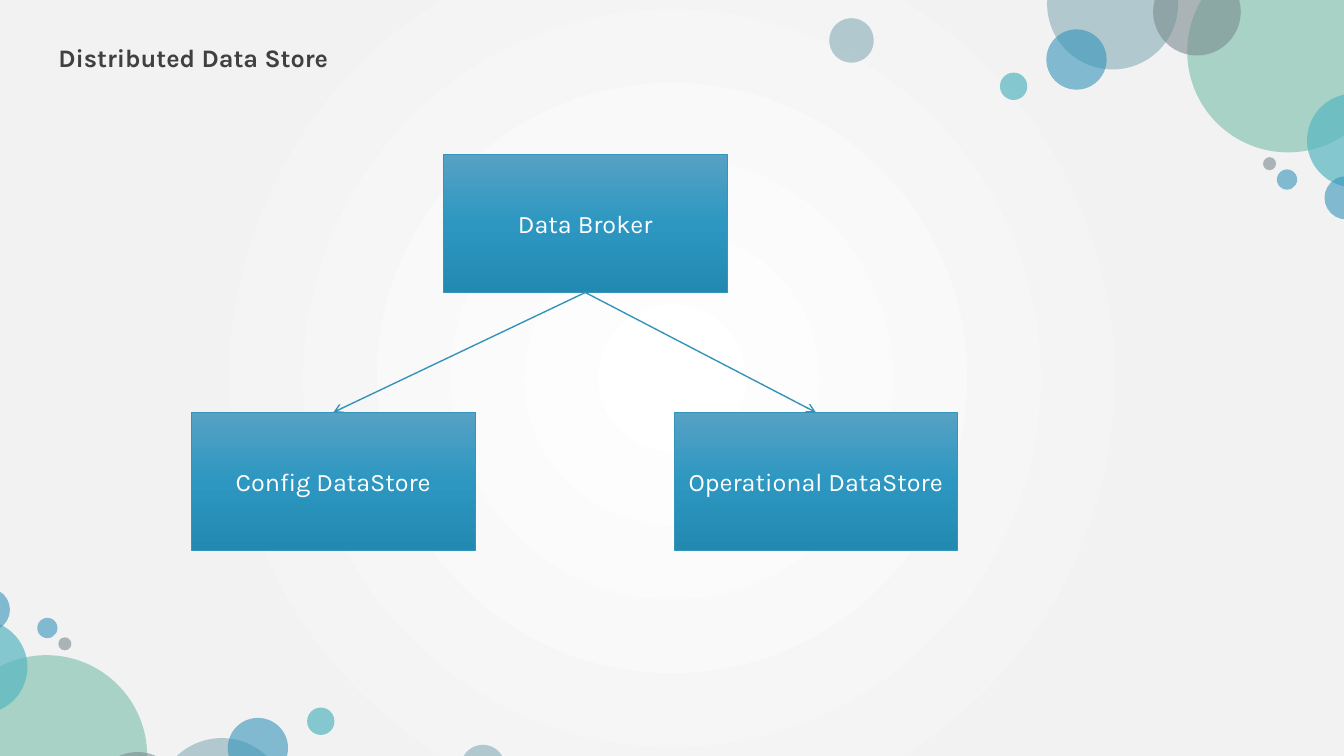
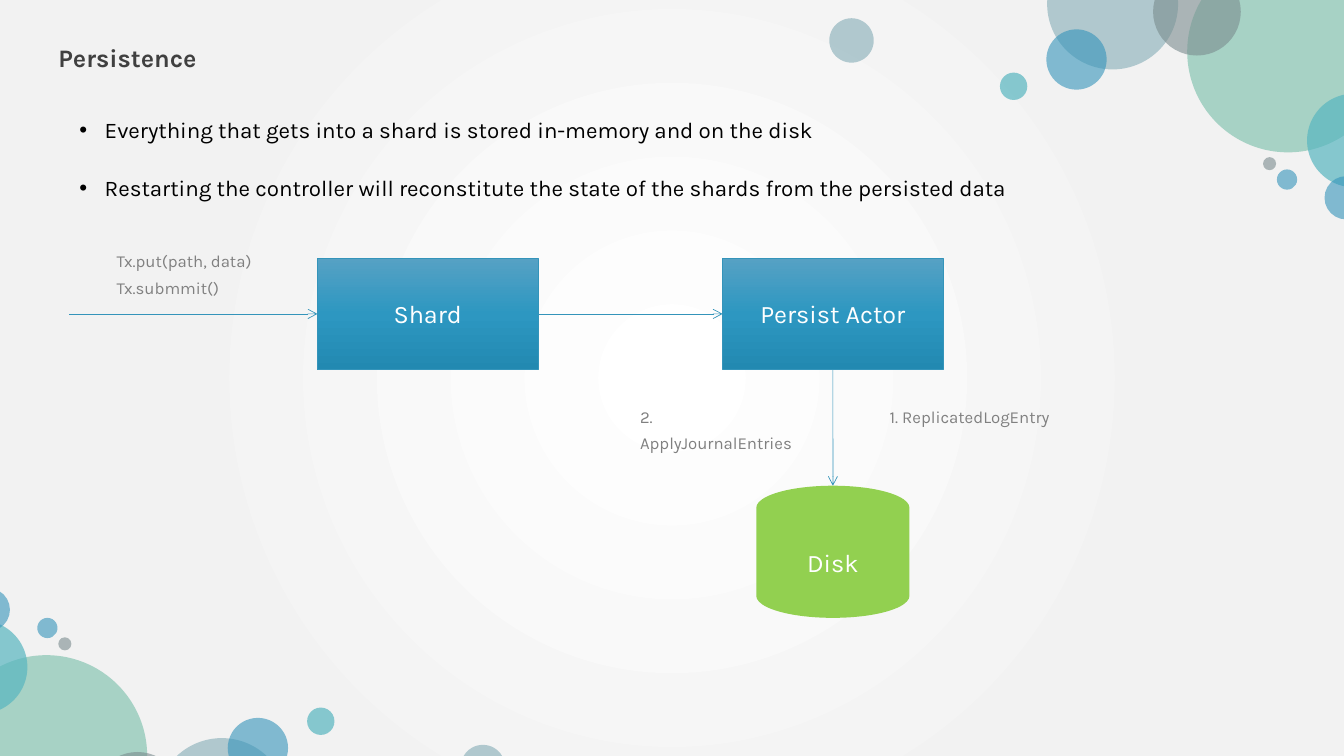
from lxml import etree
from pptx import Presentation
from pptx import util as u
from pptx.dml.color import RGBColor
from pptx.enum import shapes, text
from pptx.oxml import parse_xml
from pptx.oxml.ns import nsdecls, qn

FONT = "Karla"
WHITE = RGBColor(0xFF, 0xFF, 0xFF)
BLACK = RGBColor(0x00, 0x00, 0x00)
PALE = RGBColor(0xF2, 0xF2, 0xF2)
DARK = RGBColor(0x40, 0x40, 0x40)
GREY = RGBColor(0x80, 0x80, 0x80)
BLUE = RGBColor(0x34, 0x94, 0xBA)
TEAL = RGBColor(0x58, 0xB6, 0xC0)
GREEN = RGBColor(0x75, 0xBD, 0xA7)
STEEL = RGBColor(0x84, 0xAC, 0xB6)
SLATE = RGBColor(0x7A, 0x8C, 0x8E)
LIME = RGBColor(0x92, 0xD0, 0x50)
BOX_TOP = RGBColor(0x56, 0xA1, 0xC4)
BOX_MID = RGBColor(0x2D, 0x97, 0xC1)
BOX_END = RGBColor(0x22, 0x89, 0xB1)

BOX_STOPS = [(0, BOX_TOP), (50, BOX_MID), (100, BOX_END)]
PAGE_STOPS = [(0, WHITE), (67, PALE), (100, PALE)]
DOWNWARD = '<a:lin %s ang="5400000" scaled="0"/>'
RADIAL = ('<a:path %s path="circle"><a:fillToRect l="50000" t="50000" '
          'r="50000" b="50000"/></a:path>')

BUBBLES = [
    (26.39, -1.55, 3.3, STEEL, 60),
    (29.92, -1.24, 5.08, GREEN, 60),
    (29.06, -0.81, 2.21, SLATE, 60),
    (26.37, 0.74, 1.52, BLUE, 60),
    (32.94, 2.36, 2.36, TEAL, 70),
    (25.2, 1.83, 0.69, TEAL, 70),
    (33.38, 4.44, 1.09, BLUE, 60),
    (32.18, 4.27, 0.51, BLUE, 60),
    (31.83, 3.96, 0.33, SLATE, 60),
    (20.9, 0.46, 1.12, STEEL, 60),
]
TURN_X, TURN_Y = 33.63, 20.35
TOP, LEFT, BOTTOM, RIGHT = range(4)


def gradient(owner, fill, stops, direction):
    fill.gradient()
    g = owner.element.find(".//" + qn("a:gradFill"))
    for child in list(g):
        g.remove(child)
    gs_lst = etree.SubElement(g, qn("a:gsLst"))
    for pos, color in stops:
        gs = etree.SubElement(gs_lst, qn("a:gs"), pos=str(pos * 1000))
        etree.SubElement(gs, qn("a:srgbClr"), val=str(color))
    g.append(parse_xml(direction % nsdecls("a")))


def write(tf, lines, size=18, color=WHITE, bold=False, align=None,
          spacing=None, before=None, bullet=False):
    tf.word_wrap = True
    for i, line in enumerate(lines.split("\n")):
        p = tf.add_paragraph() if i else tf.paragraphs[0]
        p.alignment = align
        p.line_spacing = spacing
        p.space_before = before
        if bullet:
            pPr = p._p.get_or_add_pPr()
            pPr.set("marL", str(u.Cm(0.64)))
            pPr.set("indent", str(-u.Cm(0.64)))
            etree.SubElement(pPr, qn("a:buFont"), typeface="Arial")
            etree.SubElement(pPr, qn("a:buChar"), char="•")
        r = p.add_run()
        r.text = line
        r.font.name = FONT
        r.font.size = u.Pt(size)
        r.font.bold = bold
        r.font.color.rgb = color


class Deck:
    def __init__(self):
        self.prs = Presentation()
        self.prs.slide_width = u.Cm(33.87)
        self.prs.slide_height = u.Cm(19.05)
        self.s = None

    def slide(self, title):
        self.s = self.prs.slides.add_slide(self.prs.slide_layouts[6])
        gradient(self.s, self.s.background.fill, PAGE_STOPS, RADIAL)
        for x, y, d, color, alpha in BUBBLES:
            self.bubble(x, y, d, color, alpha)
        for x, y, d, color, alpha in BUBBLES:
            self.bubble(TURN_X - x - d, TURN_Y - y - d, d, color, alpha)
        self.text(title, 1.22, 0.71, 9.45, 1.12, color=DARK, bold=True,
                  spacing=1.3, before=u.Pt(10))

    def shape(self, kind, x, y, w, h):
        sp = self.s.shapes.add_shape(kind, u.Cm(x), u.Cm(y), u.Cm(w), u.Cm(h))
        sp.shadow.inherit = False
        sp.line.fill.background()
        return sp

    def bubble(self, x, y, d, color, alpha):
        sp = self.shape(shapes.MSO_SHAPE.OVAL, x, y, d, d)
        sp.fill.solid()
        sp.fill.fore_color.rgb = color
        clr = sp.element.spPr.find(".//" + qn("a:srgbClr"))
        etree.SubElement(clr, qn("a:alpha"), val=str(alpha * 1000))

    def caption(self, sp, label):
        sp.text_frame.vertical_anchor = text.MSO_ANCHOR.MIDDLE
        write(sp.text_frame, label, align=text.PP_ALIGN.CENTER)

    def box(self, label, x, y, w, h):
        sp = self.shape(shapes.MSO_SHAPE.RECTANGLE, x, y, w, h)
        gradient(sp, sp.fill, BOX_STOPS, DOWNWARD)
        sp.line.color.rgb = BLUE
        sp.line.width = u.Pt(0.5)
        self.caption(sp, label)
        return sp

    def disk(self, label, x, y, w, h):
        sp = self.shape(shapes.MSO_SHAPE.FLOWCHART_MAGNETIC_DISK, x, y, w, h)
        sp.fill.solid()
        sp.fill.fore_color.rgb = LIME
        self.caption(sp, label)
        return sp

    def text(self, lines, x, y, w, h, **fmt):
        sp = self.s.shapes.add_textbox(u.Cm(x), u.Cm(y), u.Cm(w), u.Cm(h))
        write(sp.text_frame, lines, **fmt)
        return sp

    def bullet(self, line, y, h):
        self.text(line, 1.75, y, 24.08, h, size=16, color=BLACK,
                  spacing=0.9, before=u.Pt(10), bullet=True)

    def note(self, lines, x, y, w, h):
        sp = self.text(lines, x, y, w, h, size=12, color=GREY, spacing=1.3)
        sp.text_frame.auto_size = text.MSO_AUTO_SIZE.SHAPE_TO_FIT_TEXT

    def arrow(self, begin=None, end=None, start=(0, 0), stop=(0, 0), width=0.5):
        cn = self.s.shapes.add_connector(
            shapes.MSO_CONNECTOR.STRAIGHT, *map(u.Cm, start + stop))
        if begin:
            cn.begin_connect(*begin)
        if end:
            cn.end_connect(*end)
        cn.line.color.rgb = BLUE
        cn.line.width = u.Pt(width)
        spPr = cn.element.spPr
        etree.SubElement(spPr.find(qn("a:ln")), qn("a:tailEnd"), type="arrow")
        etree.SubElement(spPr, qn("a:effectLst"))


def data_store(deck):
    deck.slide("Distributed Data Store")
    w, h = 7.14, 3.48
    broker = deck.box("Data Broker", 11.18, 3.89, w, h)
    stores = [deck.box(label, x, 10.39, w, h) for label, x in
              (("Config DataStore", 4.83), ("Operational DataStore", 16.99))]
    for store in stores:
        deck.arrow((broker, BOTTOM), (store, TOP), width=1)


def persistence(deck):
    deck.slide("Persistence")
    deck.bullet("Everything that gets into a shard is stored in-memory "
                "and on the disk", 2.87, 1.73)
    deck.bullet("Restarting the controller will reconstitute the state of "
                "the shards from the persisted data", 4.34, 1.32)
    y, w, h = 6.5, 5.56, 2.82
    actor_x, disk_y, disk_w = 18.21, 12.24, 3.86
    mid_x, mid_y = actor_x + w / 2, y + h / 2
    shard = deck.box("Shard", 8, y, w, h)
    actor = deck.box("Persist Actor", actor_x, y, w, h)
    deck.disk("Disk", mid_x - disk_w / 2, disk_y, disk_w, 3.33)
    deck.arrow(end=(shard, LEFT), start=(1.75, mid_y))
    deck.arrow((shard, RIGHT), (actor, LEFT))
    deck.arrow((actor, BOTTOM), stop=(mid_x, disk_y))
    deck.note("Tx.put(path, data)\nTx.submmit()", 2.69, 6.05, 4.17, 1.6)
    deck.note("1. ReplicatedLogEntry", 22.17, 9.98, 5.38, 0.91)
    deck.note("2. ApplyJournalEntries", 15.88, 9.98, 4.67, 0.86)


def main():
    deck = Deck()
    data_store(deck)
    persistence(deck)
    deck.prs.save("out.pptx")


if __name__ == "__main__":
    main()
